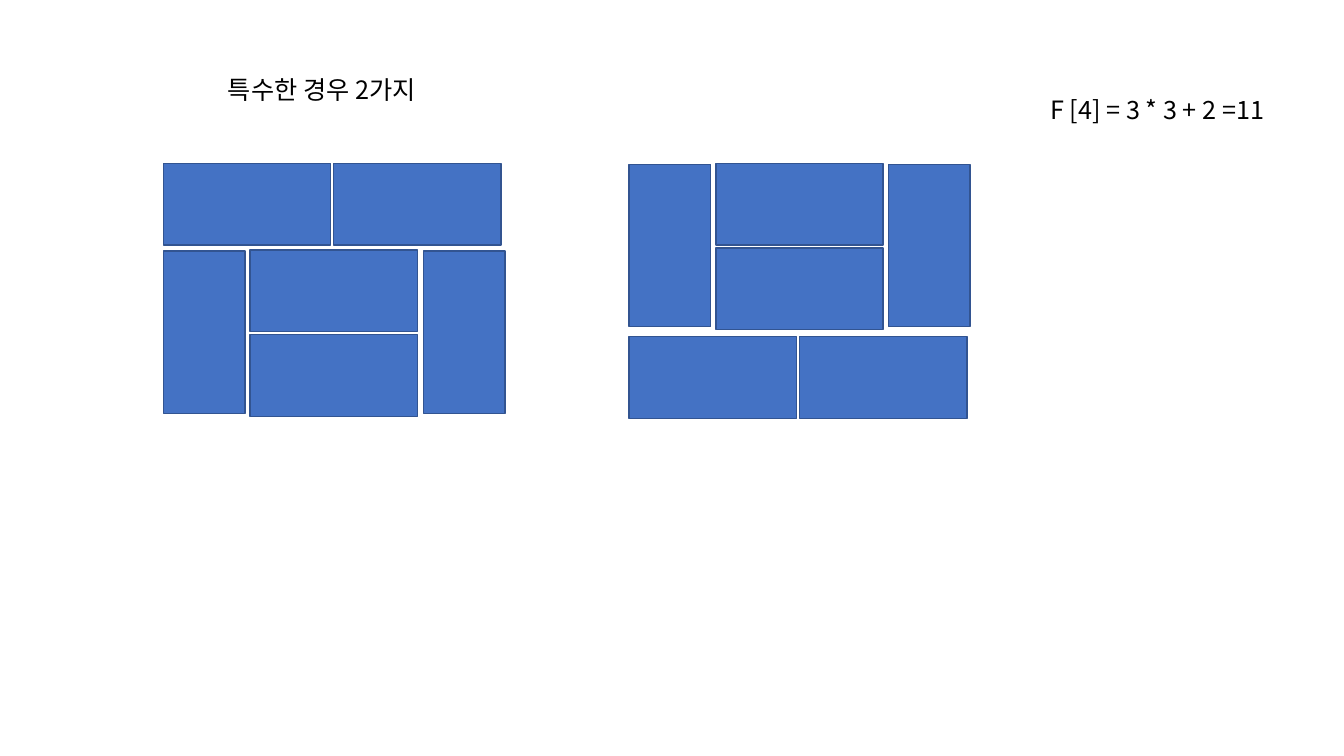
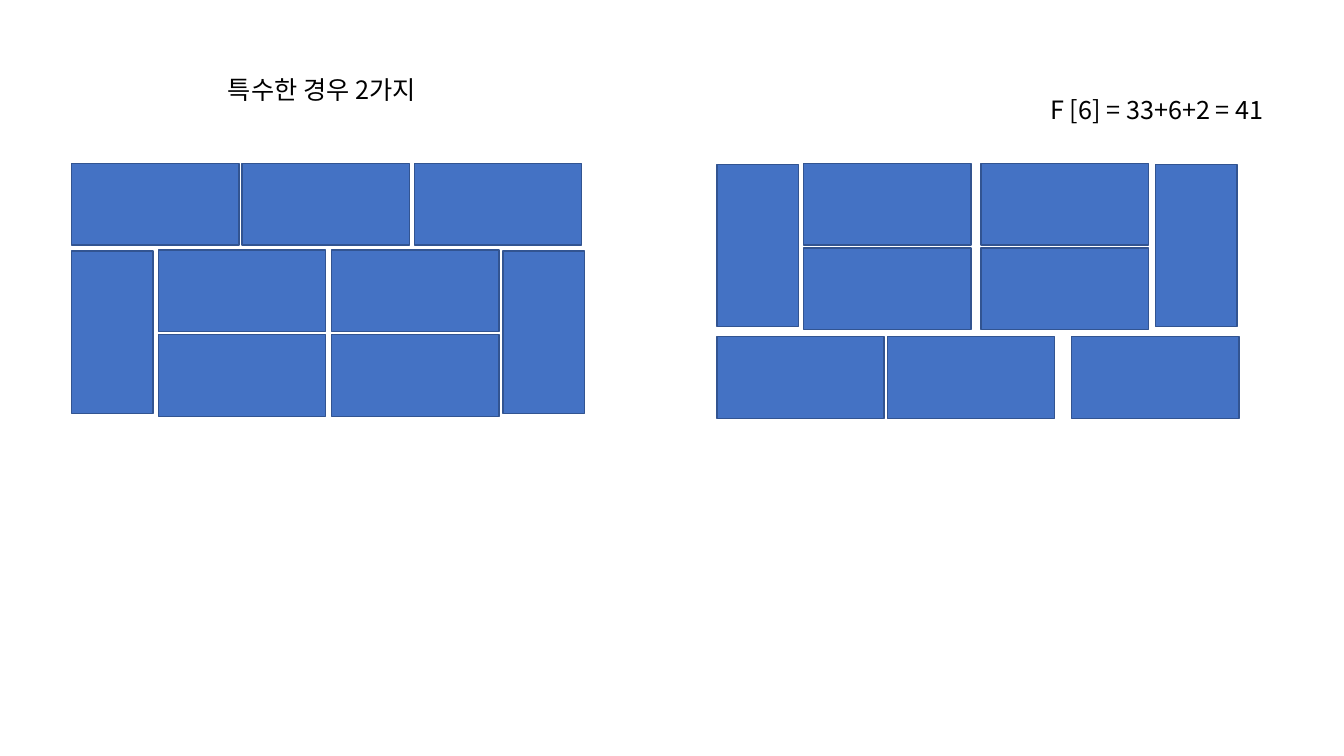
from dataclasses import dataclass

import pptx
import pptx.dml.color
import pptx.enum.shapes
import pptx.enum.text
import pptx.oxml.ns
import pptx.util
from lxml import etree

Inches = pptx.util.Inches


@dataclass(frozen=True)
class Theme:
    tile: str = "4472C4"
    outline: str = "325491"
    text: str = "000000"
    font: str = "Noto Sans CJK KR"
    text_size: int = 18
    outline_width: int = 1


@dataclass(frozen=True)
class Tiling:
    """Tile positions; all x values after left are offsets from it."""
    left: float
    row_top: float
    block_top: float
    row_offsets: tuple
    stack_offsets: tuple
    end_offset: float


THEME = Theme()
FLAT = (1.66, 0.81)
UPRIGHT = (0.81, 1.61)
STACK_PITCH = 0.84
HEADING = "특수한 경우 2가지"
ROW_ABOVE = (1.62, 2.48)
ROW_BELOW = (3.34, 1.62)

CASES = [
    ("F [4] = 3 * 3 + 2 =11", 2.67, [
        Tiling(1.62, *ROW_ABOVE, (0, 1.69), (0.86,), 2.58),
        Tiling(6.24, *ROW_BELOW, (0, 1.69), (0.86,), 2.57),
    ]),
    ("F [6] = 33+6+2 = 41", 2.61, [
        Tiling(0.71, *ROW_ABOVE, (0, 1.69, 3.4), (0.86, 2.58), 4.28),
        Tiling(7.11, *ROW_BELOW, (0, 1.69, 3.52), (0.86, 2.62), 4.35),
    ]),
]


def rgb(value):
    return pptx.dml.color.RGBColor.from_string(value)


def write_line(box, text):
    """Put one unwrapped line in the theme's text style into box."""
    frame = box.text_frame
    frame.text = text
    frame.word_wrap = False
    frame.auto_size = pptx.enum.text.MSO_AUTO_SIZE.SHAPE_TO_FIT_TEXT
    frame.vertical_anchor = pptx.enum.text.MSO_ANCHOR.TOP
    paragraph = frame.paragraphs[0]
    paragraph.alignment = pptx.enum.text.PP_ALIGN.LEFT
    font = paragraph.font
    font.size = pptx.util.Pt(THEME.text_size)
    font.color.rgb = rgb(THEME.text)
    font.name = THEME.font
    properties = paragraph._p.pPr.find(pptx.oxml.ns.qn("a:defRPr"))
    east_asian = etree.SubElement(properties, pptx.oxml.ns.qn("a:ea"))
    east_asian.set("typeface", THEME.font)


def add_heading(slide):
    heading = slide.shapes.title
    heading.left, heading.top = Inches(2.16), Inches(0.69)
    heading.width, heading.height = Inches(2.29), Inches(0.4)
    write_line(heading, HEADING)


def add_formula(slide, text, width):
    formula = slide.shapes.add_textbox(
        Inches(10.32), Inches(0.89), Inches(width), Inches(0.4))
    write_line(formula, text)


def add_tile(slide, left, top, size):
    tile = slide.shapes.add_shape(
        pptx.enum.shapes.MSO_SHAPE.RECTANGLE,
        Inches(left), Inches(top), *map(Inches, size))
    tile.shadow.inherit = False
    tile.fill.solid()
    tile.fill.fore_color.rgb = rgb(THEME.tile)
    tile.line.color.rgb = rgb(THEME.outline)
    tile.line.width = pptx.util.Pt(THEME.outline_width)


def add_tiling(slide, tiling):
    """Draw a row of flat tiles and a block of stacks between two uprights."""
    for offset in (0, tiling.end_offset):
        add_tile(slide, tiling.left + offset, tiling.block_top + 0.01, UPRIGHT)
    for offset in tiling.row_offsets:
        add_tile(slide, tiling.left + offset, tiling.row_top, FLAT)
    for offset in tiling.stack_offsets:
        for level in range(2):
            add_tile(slide, tiling.left + offset,
                     tiling.block_top + level * STACK_PITCH, FLAT)


def main():
    deck = pptx.Presentation()
    deck.slide_width, deck.slide_height = Inches(13.33), Inches(7.5)
    title_only = deck.slide_layouts[5]
    for formula, formula_width, tilings in CASES:
        slide = deck.slides.add_slide(title_only)
        add_heading(slide)
        add_formula(slide, formula, formula_width)
        for tiling in tilings:
            add_tiling(slide, tiling)
    deck.save("out.pptx")


if __name__ == "__main__":
    main()
